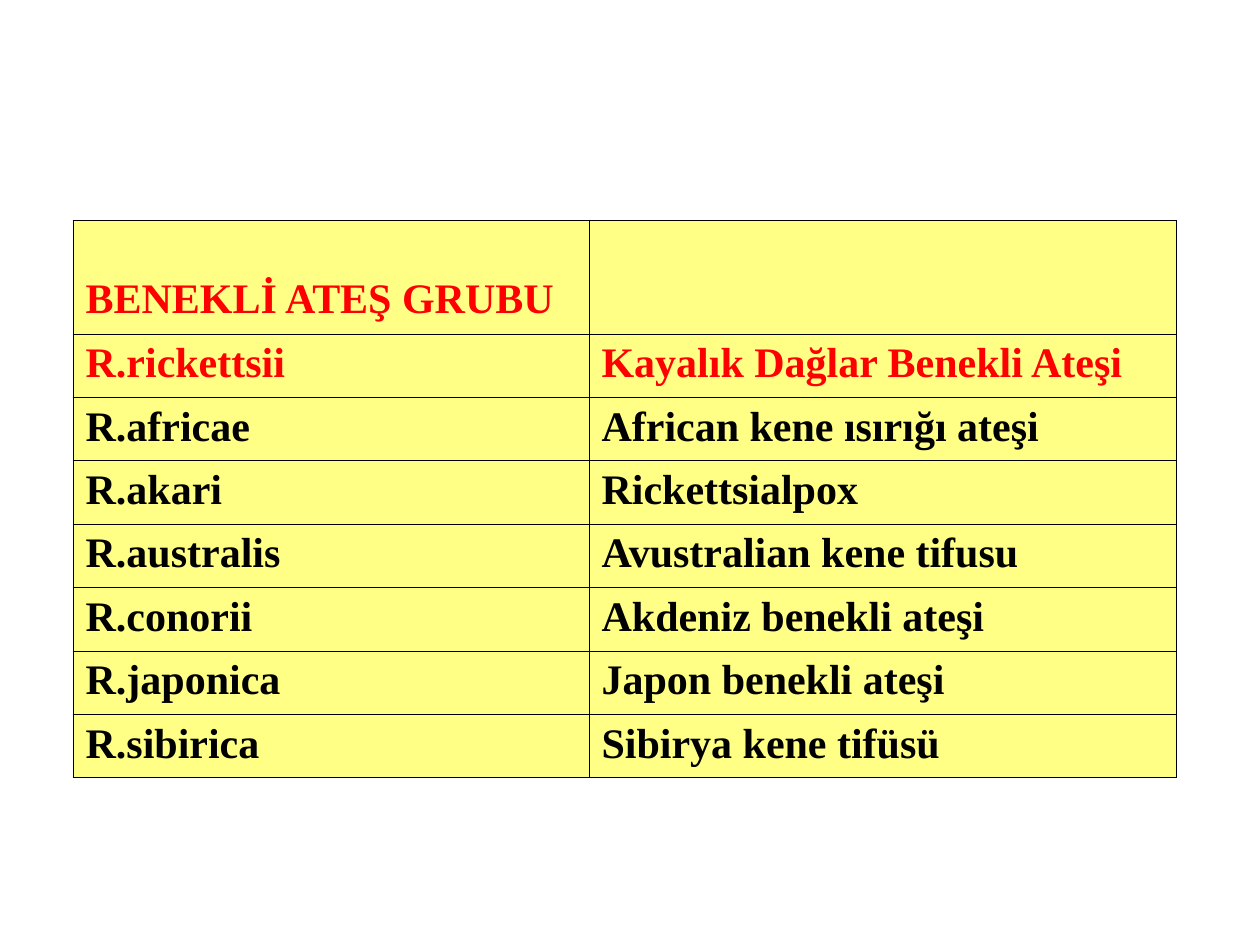
from lxml.etree import SubElement
from pptx import Presentation
from pptx.dml.color import RGBColor
from pptx.enum.text import MSO_ANCHOR, PP_ALIGN
from pptx.oxml.ns import qn
from pptx.util import Pt

ROWS = [
    ("BENEKLİ ATEŞ GRUBU", ""),
    ("R.rickettsii", "Kayalık Dağlar Benekli Ateşi"),
    ("R.africae", "African kene ısırığı ateşi"),
    ("R.akari", "Rickettsialpox"),
    ("R.australis", "Avustralian kene tifusu"),
    ("R.conorii", "Akdeniz benekli ateşi"),
    ("R.japonica", "Japon benekli ateşi"),
    ("R.sibirica", "Sibirya kene tifüsü"),
]
HIGHLIGHTED_ROWS = 2
COLORS = {"cell": "FFFF85", "highlight": "FF0000", "text": "000000", "border": "000000"}
FONT = "Times New Roman"
FONT_SIZE = Pt(24)
BORDER_WIDTH = Pt(0.45)

SLIDE_WIDTH, SLIDE_HEIGHT = 1260, 945
TABLE_LEFT, TABLE_TOP = 73, 220
COLUMN_WIDTHS = (516, 587)
HEADER_HEIGHT, BODY_HEIGHT = 114, 444
HEADER_BOTTOM_MARGIN = 12


def px(length):
    return round(length * 914400 / 126)


def add_borders(cell):
    properties = cell._tc.get_or_add_tcPr()
    for position, side in enumerate(("a:lnL", "a:lnR", "a:lnT", "a:lnB")):
        line = properties.makeelement(qn(side), {"w": str(BORDER_WIDTH)})
        fill = SubElement(line, qn("a:solidFill"))
        SubElement(fill, qn("a:srgbClr"), val=COLORS["border"])
        properties.insert(position, line)


def fill_cell(cell, text, color):
    cell.fill.solid()
    cell.fill.fore_color.rgb = RGBColor.from_string(COLORS["cell"])
    add_borders(cell)
    if not text:
        return
    paragraph = cell.text_frame.paragraphs[0]
    paragraph.alignment = PP_ALIGN.JUSTIFY
    run = paragraph.add_run()
    run.text = text
    run.font.name = FONT
    run.font.size = FONT_SIZE
    run.font.bold = True
    run.font.color.rgb = RGBColor.from_string(COLORS[color])


def main():
    presentation = Presentation()
    presentation.slide_width = px(SLIDE_WIDTH)
    presentation.slide_height = px(SLIDE_HEIGHT)
    slide = presentation.slides.add_slide(presentation.slide_layouts[6])

    table = slide.shapes.add_table(
        len(ROWS), len(COLUMN_WIDTHS), px(TABLE_LEFT), px(TABLE_TOP),
        px(sum(COLUMN_WIDTHS)), px(HEADER_HEIGHT + BODY_HEIGHT),
    ).table
    for column, width in zip(table.columns, COLUMN_WIDTHS):
        column.width = px(width)

    row_height = BODY_HEIGHT / (len(ROWS) - 1)
    for row_index, texts in enumerate(ROWS):
        row = table.rows[row_index]
        row.height = px(row_height if row_index else HEADER_HEIGHT)
        color = "highlight" if row_index < HIGHLIGHTED_ROWS else "text"
        for cell, text in zip(row.cells, texts):
            fill_cell(cell, text, color)

    header = table.cell(0, 0)
    header.vertical_anchor = MSO_ANCHOR.BOTTOM
    header.margin_bottom = px(HEADER_BOTTOM_MARGIN)
    presentation.save("out.pptx")


if __name__ == "__main__":
    main()
